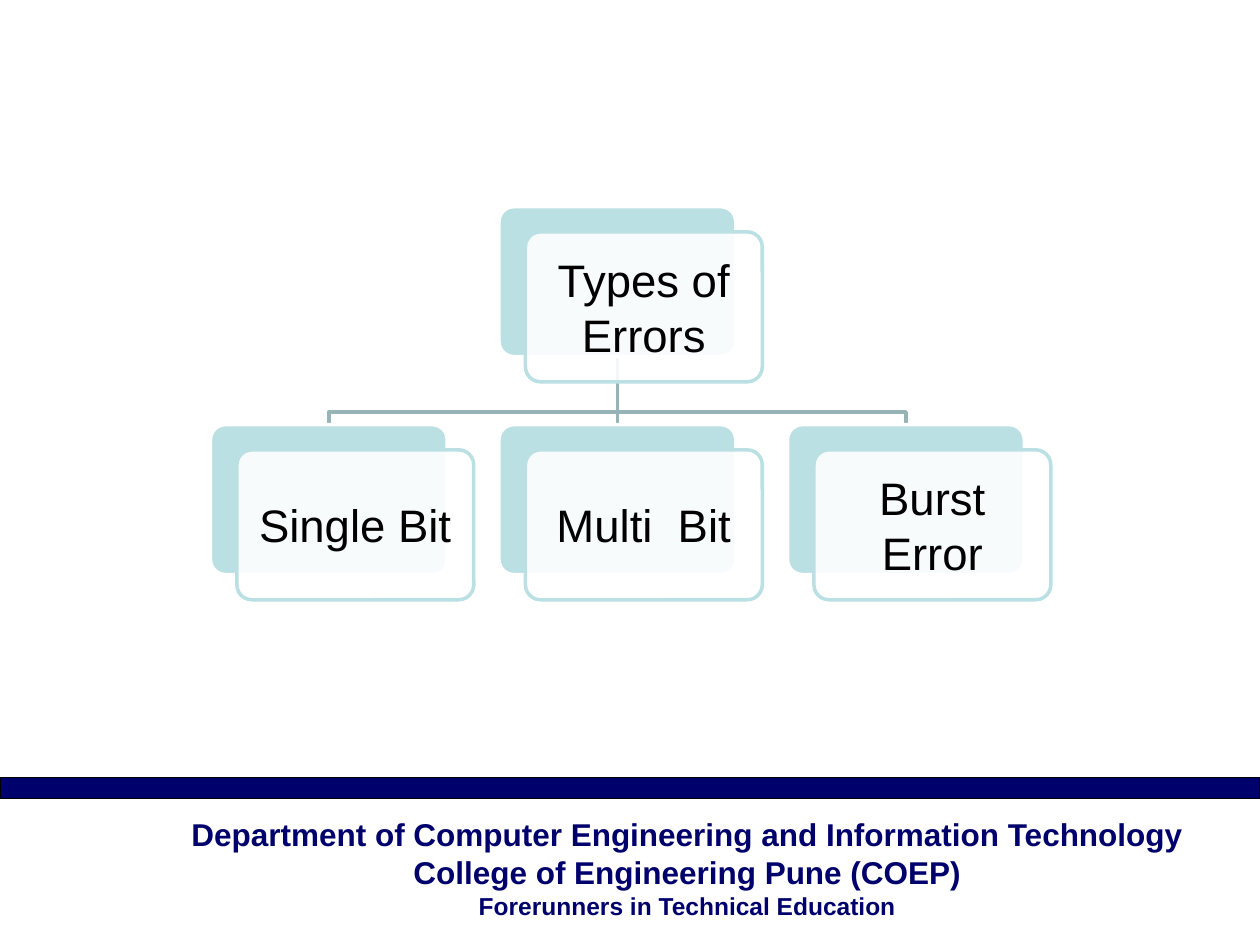
"""Builds a slide with a tree of error types above a department footer."""
import pptx
import pptx.util
import pptx.dml.color
import pptx.enum.shapes
import pptx.enum.text
import pptx.oxml
import pptx.oxml.ns
from lxml import etree

Inches, Pt = pptx.util.Inches, pptx.util.Pt
RGBColor = pptx.dml.color.RGBColor
SHAPES = pptx.enum.shapes.MSO_SHAPE
CENTER = pptx.enum.text.PP_ALIGN.CENTER

ROOT = "Types of Errors"
ERROR_TYPES = ["Single Bit", "Multi  Bit", "Burst Error"]
FOOTER = [
    ("Department of Computer Engineering and Information Technology", 18),
    ("College of Engineering Pune (COEP)", 18),
    ("Forerunners in Technical Education", 14),
]

NAVY = RGBColor(0x00, 0x00, 0x6C)
BLACK = RGBColor(0x00, 0x00, 0x00)
WHITE = RGBColor(0xFF, 0xFF, 0xFF)
TEAL = RGBColor(0xBB, 0xE0, 0xE3)
BRANCH = RGBColor(0x96, 0xB3, 0xB6)

CARD_W, CARD_H = 1.88, 1.19
FRONT_DX, FRONT_DY = 0.21, 0.2
LEFT, PITCH = 1.67, 2.29
ROOT_TOP, TYPES_TOP, FORK_Y = 1.64, 3.37, 3.27
INSET = 0.07


def add_box(slide, preset, left, top, width, height, fill, line, weight):
    box = slide.shapes.add_shape(
        preset, Inches(left), Inches(top), Inches(width), Inches(height))
    box.shadow.inherit = False
    box.fill.solid()
    box.fill.fore_color.rgb = fill
    box.line.color.rgb = line
    box.line.width = Pt(weight)
    return box


def add_branch(slide, points):
    start, *rest = [(Inches(x), Inches(y)) for x, y in points]
    builder = slide.shapes.build_freeform(*start)
    builder.add_line_segments(rest, close=False)
    branch = builder.convert_to_shape()
    branch.shadow.inherit = False
    branch.fill.background()
    branch.line.color.rgb = BRANCH
    branch.line.width = Pt(2)


def add_stem(slide, x, top, bottom):
    stem = slide.shapes.add_connector(
        pptx.enum.shapes.MSO_CONNECTOR.STRAIGHT,
        Inches(x), Inches(top), Inches(x), Inches(bottom))
    stem.line.color.rgb = BRANCH
    stem.line.width = Pt(2)
    etree.SubElement(stem.element.spPr, pptx.oxml.ns.qn("a:effectLst"))


def add_card(slide, label, left, top):
    back = add_box(slide, SHAPES.ROUNDED_RECTANGLE, left, top,
                   CARD_W, CARD_H, TEAL, WHITE, 2)
    front = add_box(slide, SHAPES.ROUNDED_RECTANGLE, left + FRONT_DX,
                    top + FRONT_DY, CARD_W, CARD_H, WHITE, TEAL, 2)
    for layer in (back, front):
        layer.adjustments[0] = 0.1
    front_color = front.fill._xPr.find(".//" + pptx.oxml.ns.qn("a:srgbClr"))
    etree.SubElement(front_color, pptx.oxml.ns.qn("a:alpha"), val="90000")
    frame = front.text_frame
    frame.word_wrap = True
    frame.vertical_anchor = pptx.enum.text.MSO_ANCHOR.MIDDLE
    frame.margin_left = frame.margin_right = Inches(INSET)
    frame.margin_top = frame.margin_bottom = Inches(INSET)
    write(frame.paragraphs[0], label, 26, BLACK)


def write(paragraph, text, size, color, bold=False):
    paragraph.text = text
    paragraph.alignment = CENTER
    paragraph.font.name = "Arial"
    paragraph.font.size = Pt(size)
    paragraph.font.bold = bold
    paragraph.font.color.rgb = color


def add_footer(slide):
    add_box(slide, SHAPES.RECTANGLE, 0, 6.17, 10, 0.17, NAVY, BLACK, 0.75)
    frame = slide.shapes.add_textbox(
        Inches(1.25), Inches(6.42), Inches(8.41), Inches(0.95)).text_frame
    frame.word_wrap = True
    for i, (text, size) in enumerate(FOOTER):
        paragraph = frame.add_paragraph() if i else frame.paragraphs[0]
        write(paragraph, text, size, NAVY, bold=True)


def add_tree(slide):
    lefts = [LEFT + i * PITCH for i in range(len(ERROR_TYPES))]
    root_left = (lefts[0] + lefts[-1]) / 2
    root_x, root_bottom = root_left + CARD_W / 2, ROOT_TOP + CARD_H
    for left in lefts:
        x = left + CARD_W / 2
        if abs(x - root_x) < 0.01:
            add_stem(slide, x, root_bottom, TYPES_TOP)
        else:
            add_branch(slide, [(root_x, root_bottom), (root_x, FORK_Y),
                               (x, FORK_Y), (x, TYPES_TOP)])
    add_card(slide, ROOT, root_left, ROOT_TOP)
    for label, left in zip(ERROR_TYPES, lefts):
        add_card(slide, label, left, TYPES_TOP)


def main():
    deck = pptx.Presentation()
    deck.slide_width, deck.slide_height = Inches(10), Inches(7.5)
    slide = deck.slides.add_slide(deck.slide_layouts[6])
    add_footer(slide)
    add_tree(slide)
    deck.save("out.pptx")


if __name__ == "__main__":
    main()
